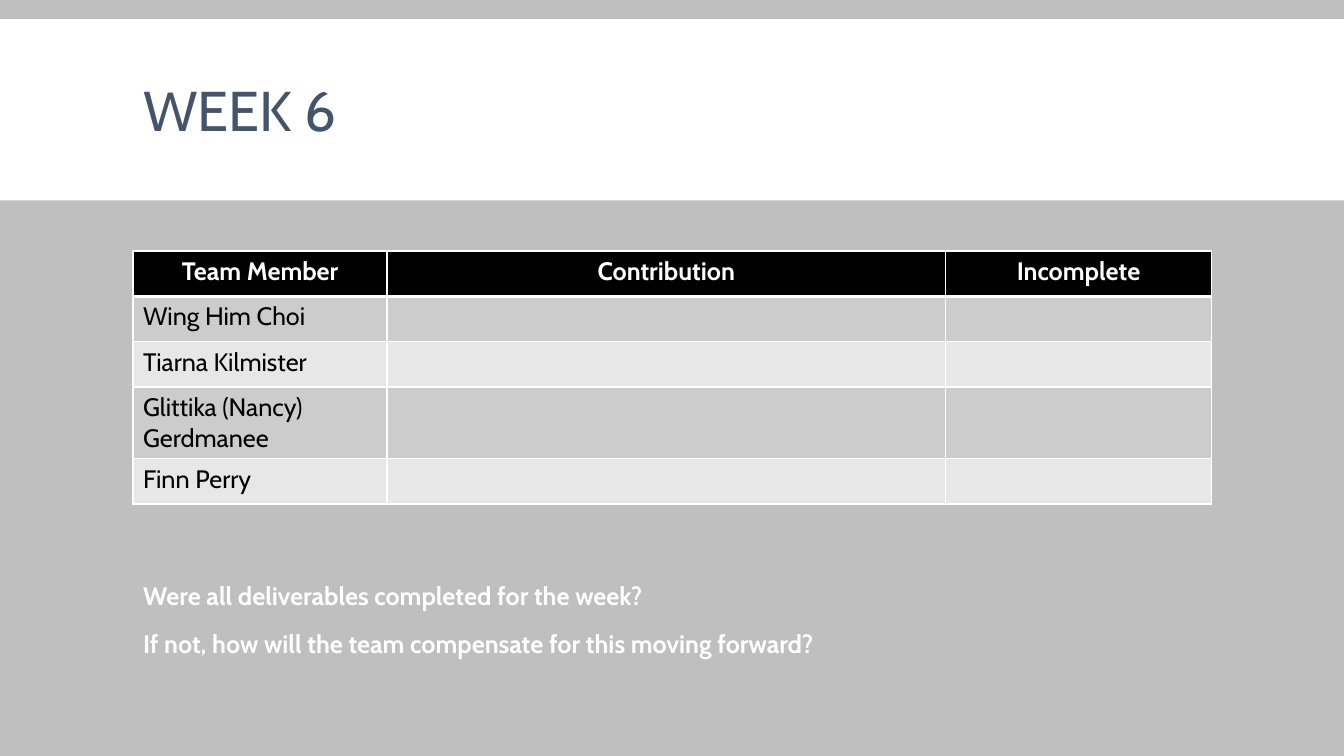
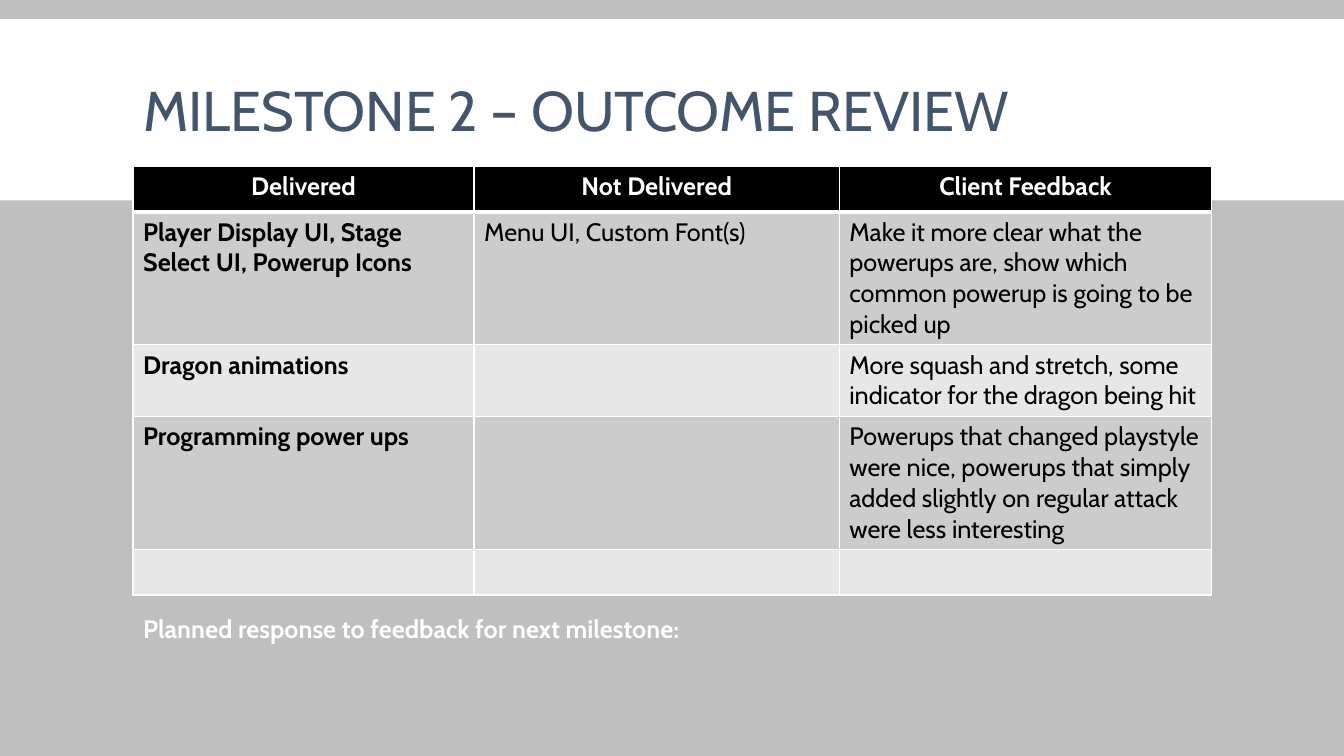
from lxml.etree import SubElement
from pptx import Presentation
from pptx.dml.color import RGBColor
from pptx.enum.shapes import MSO_SHAPE
from pptx.enum.text import MSO_ANCHOR, MSO_AUTO_SIZE, PP_ALIGN
from pptx.oxml.ns import qn
from pptx.util import Inches, Pt

FONT = "Cabin"
GREY, WHITE, BLACK, SLATE = "BFBFBF", "FFFFFF", "000000", "44546A"
STRIPES = ("CCCCCC", "E7E7E7")
MARGIN, CONTENT_WIDTH = 9.9, 80.25
ROW_HEIGHT = 6


def paint(fill, color):
    fill.solid()
    fill.fore_color.rgb = RGBColor.from_string(color)


class ReviewDeck:
    """Review slides in one style, laid out on a grid of 100 columns by 100 rows."""

    def __init__(self):
        self.prs = Presentation()
        self.prs.slide_width, self.prs.slide_height = Inches(13.33), Inches(7.5)
        self.layout = self.prs.slide_layouts[1]
        self.slide = None
        paint(self.prs.slide_master.background.fill, GREY)

    def across(self, columns):
        return round(self.prs.slide_width * columns / 100)

    def down(self, rows):
        return round(self.prs.slide_height * rows / 100)

    def box(self, left, top, width, height):
        return self.across(left), self.down(top), self.across(width), self.down(height)

    def place(self, holder, top, height):
        holder.left, holder.top, holder.width, holder.height = self.box(
            MARGIN, top, CONTENT_WIDTH, height)
        holder.text_frame.auto_size = MSO_AUTO_SIZE.NONE

    def style(self, paragraph, size, color, bold=False, align=PP_ALIGN.LEFT):
        paragraph.alignment = align
        font = paragraph.font
        font.name, font.size, font.bold = FONT, Pt(size), bold
        font.color.rgb = RGBColor.from_string(color)

    def add_slide(self, heading):
        self.slide = self.prs.slides.add_slide(self.layout)
        self.band()
        title = self.slide.shapes.title
        self.place(title, 4.13, 22)
        title.text_frame.text = heading
        title.text_frame.vertical_anchor = MSO_ANCHOR.MIDDLE
        paragraph = title.text_frame.paragraphs[0]
        paragraph.line_spacing = 0.85
        self.style(paragraph, 40, SLATE)

    def band(self):
        band = self.slide.shapes.add_shape(MSO_SHAPE.RECTANGLE, *self.box(0, 2.53, 100, 24))
        band.shadow.inherit = False
        paint(band.fill, WHITE)
        band.line.fill.background()
        self.slide.shapes.element.insert(2, band.element)

    def border(self, cell, side, points):
        properties = cell._tc.get_or_add_tcPr()
        line = SubElement(properties, qn(f"a:ln{side}"), w=str(Pt(points)))
        SubElement(SubElement(line, qn("a:solidFill")), qn("a:srgbClr"), val=WHITE)

    def table(self, top, widths, rows, bold_first=False):
        frame = self.slide.shapes.add_table(
            len(rows), len(widths),
            *self.box(MARGIN, top, CONTENT_WIDTH, ROW_HEIGHT * len(rows)))
        table = frame.table
        for column, width in zip(table.columns, widths):
            column.width = self.across(CONTENT_WIDTH * width / sum(widths))
        for r, row in enumerate(rows):
            for c, wording in enumerate(row):
                self.cell(table.cell(r, c), wording, r, bold_first and c == 0)

    def cell(self, cell, wording, row, bold):
        header = row == 0
        for side in "LRTB":
            under_header = (row, side) in ((0, "B"), (1, "T"))
            self.border(cell, side, 3 if under_header else 1)
        paint(cell.fill, BLACK if header else STRIPES[(row - 1) % 2])
        cell.text = wording
        self.style(cell.text_frame.paragraphs[0], 18, WHITE if header else BLACK,
                   header or bold, PP_ALIGN.CENTER if header else PP_ALIGN.LEFT)

    def questions(self, top, lines):
        body = self.slide.placeholders[1]
        self.place(body, top, 11.73)
        body.text_frame.text = "\n".join(lines)
        for paragraph in body.text_frame.paragraphs:
            paragraph.line_spacing = 0.95
            paragraph.space_before, paragraph.space_after = Pt(12), Pt(2)
            properties = paragraph._p.get_or_add_pPr()
            properties.set("marL", "0")
            properties.set("indent", "0")
            SubElement(properties, qn("a:buNone"))
            self.style(paragraph, 18, WHITE, True)


deck = ReviewDeck()

deck.add_slide("WEEK 6")
members = ["Wing Him Choi", "Tiarna Kilmister", "Glittika (Nancy) Gerdmanee", "Finn Perry"]
deck.table(33.2, [2.52, 5.54, 2.64],
           [["Team Member", "Contribution", "Incomplete"]]
           + [[member, "", ""] for member in members])
deck.questions(76.4, ["Were all deliverables completed for the week?",
                      "If not, how will the team compensate for this moving forward?"])

deck.add_slide("MILESTONE 2 – OUTCOME REVIEW")
deck.table(22, [3.38, 3.62, 3.69], [
    ["Delivered", "Not Delivered", "Client Feedback"],
    ["Player Display UI, Stage Select UI, Powerup Icons", "Menu UI, Custom Font(s)",
     "Make it more clear what the powerups are, show which common powerup "
     "is going to be picked up"],
    ["Dragon animations", "",
     "More squash and stretch, some indicator for the dragon being hit"],
    ["Programming power ups", "",
     "Powerups that changed playstyle were nice, powerups that simply added "
     "slightly on regular attack were less interesting"],
    ["", "", ""],
], bold_first=True)
deck.questions(80.8, ["Planned response to feedback for next milestone:"])

deck.prs.save("out.pptx")
